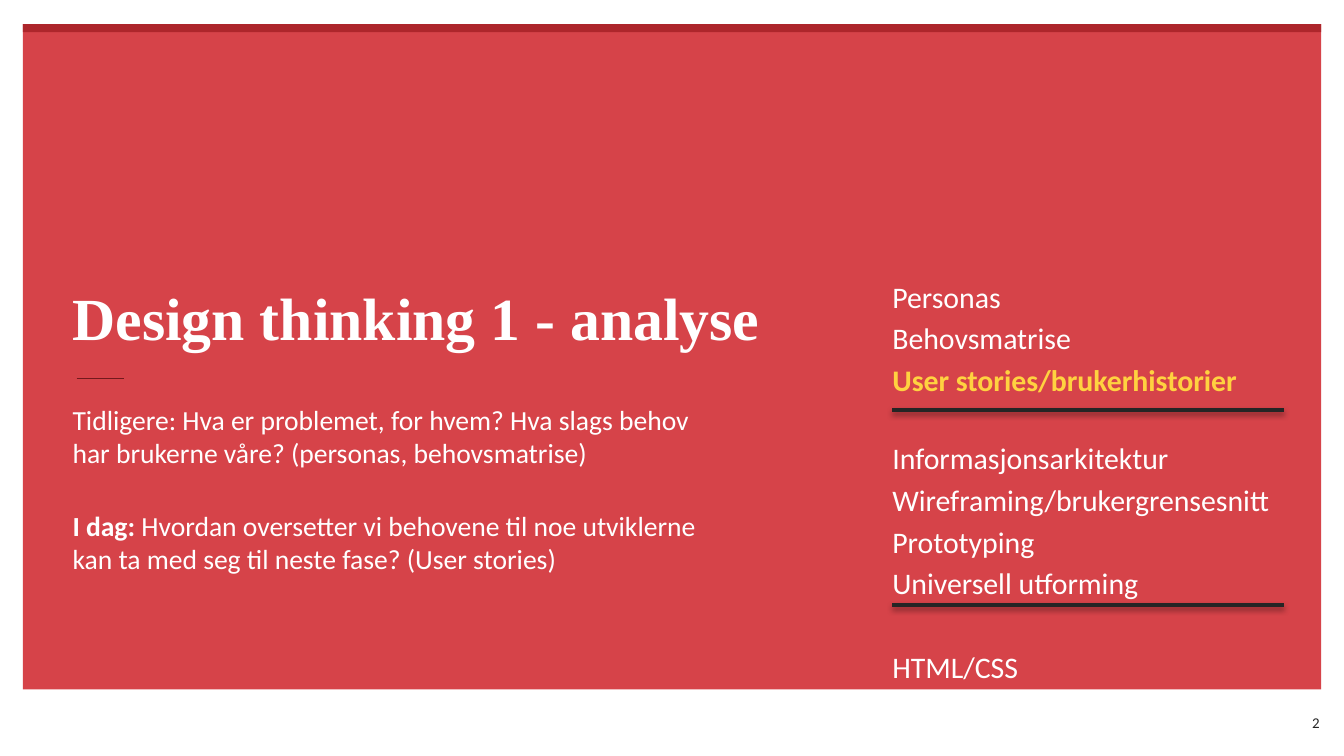
from lxml import etree
from pptx import Presentation
from pptx.dml.color import RGBColor
from pptx.enum.shapes import MSO_CONNECTOR, MSO_SHAPE
from pptx.enum.text import MSO_ANCHOR, PP_ALIGN
from pptx.oxml import parse_xml
from pptx.oxml.ns import nsdecls, qn
from pptx.util import Inches, Pt

RECTANGLE = MSO_SHAPE.RECTANGLE
STRAIGHT = MSO_CONNECTOR.STRAIGHT
TOP, MIDDLE, BOTTOM = MSO_ANCHOR.TOP, MSO_ANCHOR.MIDDLE, MSO_ANCHOR.BOTTOM
LEFT, RIGHT = PP_ALIGN.LEFT, PP_ALIGN.RIGHT
WHITE, DARK, YELLOW = "FFFFFF", "252525", "FFD240"
SHADOW = (
    f'<a:effectLst {nsdecls("a")}>'
    '<a:outerShdw blurRad="39370" dist="20320" dir="5400000" rotWithShape="0">'
    '<a:srgbClr val="000000"><a:alpha val="38000"/></a:srgbClr>'
    '</a:outerShdw></a:effectLst>'
)


def color(value):
    return RGBColor.from_string(value)


def add_text(box, paragraphs, size, font="Calibri", anchor=TOP, align=LEFT):
    text_frame = slide.shapes.add_textbox(*map(Inches, box)).text_frame
    text_frame.word_wrap = True
    text_frame.vertical_anchor = anchor
    text_frame.margin_left = text_frame.margin_right = 0
    text_frame.margin_top = text_frame.margin_bottom = 0
    for index, (space_before, runs) in enumerate(paragraphs):
        paragraph = text_frame.paragraphs[0] if index == 0 else text_frame.add_paragraph()
        paragraph.alignment = align
        paragraph.space_before = Pt(space_before)
        for text, text_color, bold in runs:
            run = paragraph.add_run()
            run.text = text
            run.font.name = font
            run.font.size = Pt(size)
            run.font.bold = bold
            run.font.color.rgb = color(text_color)


presentation = Presentation()
presentation.slide_width = Inches(10)
presentation.slide_height = Inches(10) * 9 // 16
slide = presentation.slides.add_slide(presentation.slide_layouts[6])

for height, fill in [(4.95, "D64349"), (0.06, "AD262B")]:
    panel = slide.shapes.add_shape(
        RECTANGLE, Inches(0.17), Inches(0.18), Inches(9.66), Inches(height)
    )
    panel.shadow.inherit = False
    panel.fill.solid()
    panel.fill.fore_color.rgb = color(fill)
    panel.line.fill.background()

add_text(
    (0.54, 1.36, 5.48, 1.26),
    [(0, [("Design thinking 1 - analyse", WHITE, True)])],
    32, "Times New Roman", BOTTOM,
)

earlier = "Tidligere: Hva er problemet, for hvem? Hva slags behov har brukerne våre? (personas, behovsmatrise)"
today = "Hvordan oversetter vi behovene til noe utviklerne kan ta med seg til neste fase? (User stories)"
add_text(
    (0.54, 3, 4.72, 1.26),
    [
        (0, [(earlier, WHITE, False)]),
        (21, [("I dag: ", WHITE, True), (today, WHITE, False)]),
    ],
    14.8,
)

topics = [
    ("Personas", 0),
    ("Behovsmatrise", 3.2),
    ("User stories/brukerhistorier", 3.2),
    ("Informasjonsarkitektur", 22.5),
    ("Wireframing/brukergrensesnitt", 3.2),
    ("Prototyping", 3.2),
    ("Universell utforming", 3.2),
    ("HTML/CSS", 25.7),
]
current_topic = "User stories/brukerhistorier"
topic_paragraphs = []
for topic, space_before in topics:
    is_current = topic == current_topic
    topic_color = YELLOW if is_current else WHITE
    topic_paragraphs.append((space_before, [(topic, topic_color, is_current)]))
add_text((6.64, 2.07, 3.13, 3.01), topic_paragraphs, 16)

add_text((7.49, 5.29, 2.33, 0.17), [(0, [("2", DARK, False)])], 8, anchor=MIDDLE, align=RIGHT)

lines = [
    (0.57, 0.92, 2.82, "73191D", 0.5, False),
    (6.64, 9.55, 3.05, DARK, 2, True),
    (6.64, 9.55, 4.5, DARK, 2, True),
]
for start, end, y, line_color, width, has_shadow in lines:
    connector = slide.shapes.add_connector(
        STRAIGHT, Inches(start), Inches(y), Inches(end), Inches(y)
    )
    connector.line.color.rgb = color(line_color)
    connector.line.width = Pt(width)
    properties = connector._element.spPr
    if has_shadow:
        properties.append(parse_xml(SHADOW))
    else:
        etree.SubElement(properties, qn("a:effectLst"))

presentation.save("out.pptx")
